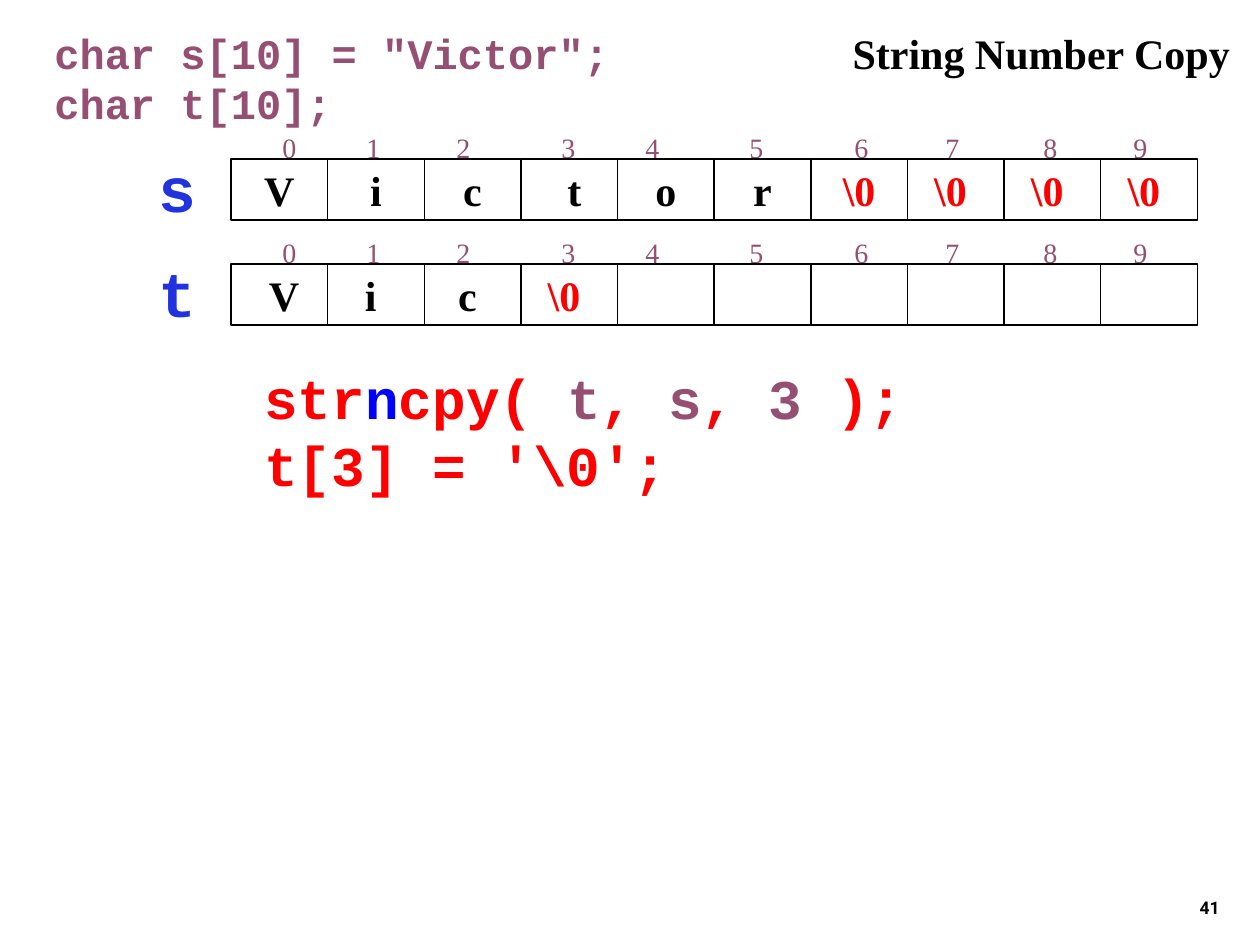
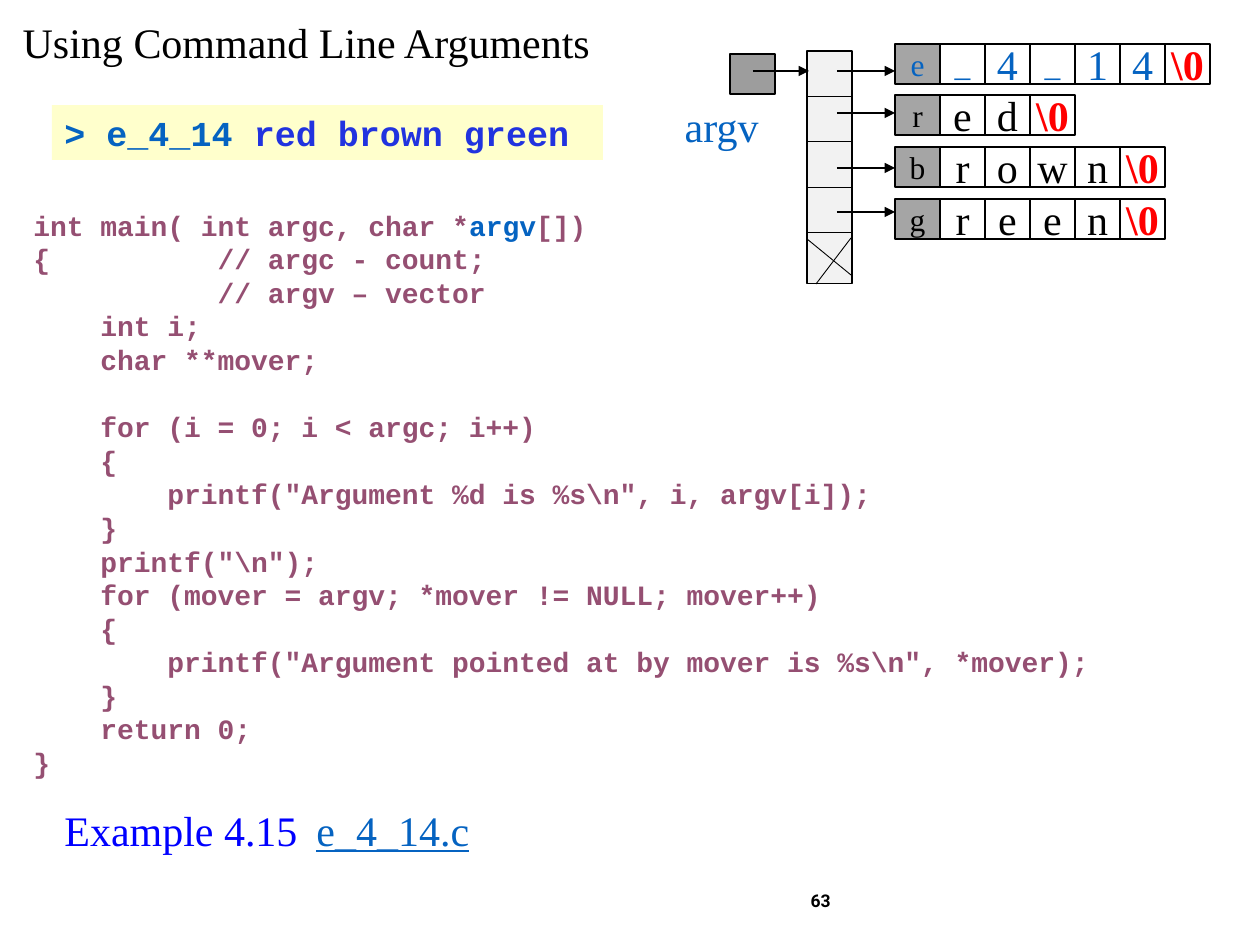
from lxml import etree
from pptx import Presentation
from pptx import util as u
from pptx.dml.color import RGBColor
from pptx.enum import shapes, text
from pptx.oxml.ns import qn

SCALE = 914400 / 126  # EMU in one px
LEFT, CENTER, RIGHT = text.PP_ALIGN.LEFT, text.PP_ALIGN.CENTER, text.PP_ALIGN.RIGHT
TOP, MIDDLE, BOTTOM = (text.MSO_ANCHOR.TOP, text.MSO_ANCHOR.MIDDLE,
                       text.MSO_ANCHOR.BOTTOM)
NUL = "\\0"


class Theme:
    black, red, plum = "000000", "FF0000", "954F72"
    royal, blue, link = "2133DF", "0000FF", "0563C1"
    band, pale, grey, dark = "FFFFCC", "F2F2F2", "A5A5A5", "9D9D9D"
    serif, mono, sans = "Times New Roman", "Courier New", "Roboto"
    title = dict(name=serif, size=24, color=black)
    letter = dict(name=serif, size=24, color=black)
    index = dict(name=serif, size=16, color=plum)
    number = dict(name=sans, size=10, color=black, bold=True)
    code = dict(name=mono, size=16, color=plum, bold=True)
    thin, hair = 0.75, 0.5


def px(*lengths):
    return [u.Emu(round(length * SCALE)) for length in lengths]


# ---- shared text and drawing helpers ----
def format_font(font, values):
    for key, value in values.items():
        if key == "color":
            font.color.rgb = RGBColor.from_string(value)
        else:
            setattr(font, key, u.Pt(value) if key == "size" else value)


def write(box, lines, style, align=LEFT, anchor=TOP, wrap=True, tabs=()):
    """Each line is a string or a list of (string, style changes) spans."""
    frame = box.text_frame
    settings = dict(auto_size=text.MSO_AUTO_SIZE.NONE, word_wrap=wrap,
                    vertical_anchor=anchor)
    for key, value in settings.items():
        setattr(frame, key, value)
    for number, line in enumerate(lines):
        para = frame.add_paragraph() if number else frame.paragraphs[0]
        para.alignment = align
        if tabs:
            stops = etree.SubElement(para._p.get_or_add_pPr(), qn("a:tabLst"))
            for stop in tabs:
                etree.SubElement(stops, qn("a:tab"), pos=str(px(stop)[0]), algn="l")
        format_font(para.font, style)
        for words, changes in [(line, {})] if isinstance(line, str) else line:
            if words:
                span = para.add_run()
                span.text = words
                format_font(span.font, {**style, **changes})


def add_text(parent, box, lines, style, **options):
    write(parent.shapes.add_textbox(*px(*box)), lines, style, **options)


def add_box(parent, box, fill=None, line=Theme.black):
    shape = parent.shapes.add_shape(shapes.MSO_SHAPE.RECTANGLE, *px(*box))
    shape.shadow.inherit = False
    if fill:
        shape.fill.solid()
        shape.fill.fore_color.rgb = RGBColor.from_string(fill)
    else:
        shape.fill.background()
    if line:
        shape.line.color.rgb = RGBColor.from_string(line)
        shape.line.width = u.Pt(Theme.thin)
    else:
        shape.line.fill.background()
    return shape


def add_line(parent, start, end, width=Theme.thin, arrow=False):
    line = parent.shapes.add_connector(shapes.MSO_CONNECTOR.STRAIGHT,
                                       *px(*start, *end))
    line.line.color.rgb = RGBColor.from_string(Theme.black)
    line.line.width = u.Pt(width)
    properties = line._element.spPr
    if arrow:
        etree.SubElement(properties.find(qn("a:ln")), qn("a:tailEnd"), type="triangle")
    etree.SubElement(properties, qn("a:effectLst"))


def new_page(deck, title, box, number, number_box, bold=False, anchor=MIDDLE):
    page = deck.slides.add_slide(deck.slide_layouts[5])
    heading = page.shapes.title
    for key, value in zip(("left", "top", "width", "height"), px(*box)):
        setattr(heading, key, value)
    write(heading, [title], {**Theme.title, "bold": bold}, wrap=False)
    add_text(page, number_box, [number], Theme.number, align=RIGHT, anchor=anchor)
    return page


def letter_style(letter, color=Theme.black, size=24, bold=False):
    ending = letter.strip() == NUL
    return {**Theme.letter, "size": size, "bold": bold or ending,
            "color": Theme.red if ending else color}


# ---- string number copy ----
def array_row(page, left, top, name, letters):
    """Ten numbered cells with the array name on their left."""
    width, height, count = 96.65, 61, 10
    add_text(page, (left - 85, top - 16, 63, 88), [name],
             dict(name=Theme.mono, size=36, color=Theme.royal, bold=True),
             align=RIGHT, wrap=False)
    group = page.shapes.add_group_shape()
    add_text(group, (left, top - 43, width * count, 62),
             ["".join(f"\t{index}" for index in range(count))], Theme.index,
             anchor=MIDDLE, tabs=(39, 123, 213, 318, 402, 506, 611, 702, 800, 890))
    for index in range(count):
        cell = add_box(group, (left + index * width, top, width, height))
        if index < len(letters):
            letter = letters[index]
            write(cell, [letter], letter_style(letter, bold=True),
                  align=CENTER, anchor=MIDDLE, wrap=False)


def copy_page(deck):
    page = new_page(deck, "String Number Copy", (840, 21, 403, 63),
                    "41", (970, 861, 262, 63), bold=True, anchor=BOTTOM)
    add_text(page, (42, 21, 935, 164), ['char s[10] = "Victor";', "char t[10];"],
             {**Theme.code, "size": 24})
    array_row(page, 231, 159, "s",
              ["V", "i", "c", " t", "o", "r", NUL] + [NUL + " "] * 3)
    array_row(page, 231, 264, "t", [" V", "i ", "c ", NUL + " "])
    plum = dict(color=Theme.plum)
    call = [("str", {}), ("n", dict(color=Theme.blue)), ("cpy( ", {}), ("t", plum),
            (",", {}), (" s", plum), (",", {}), (" 3 ", plum), (");", {})]
    add_text(page, (252, 357, 703, 147), [call, "t[3] = '\\0';"],
             {**Theme.code, "size": 32, "color": Theme.red})


# ---- command line arguments ----
MAIN_CODE = r"""{          // argc - count;
           // argv – vector
    int i;
    char **mover;

    for (i = 0; i < argc; i++)
    {
        printf("Argument %d is %s\n", i, argv[i]);
    }
    printf("\n");
    for (mover = argv; *mover != NULL; mover++)
    {
        printf("Argument pointed at by mover is %s\n", *mover);
    }
    return 0;
}"""


def argument_row(group, left, top, letters, color=Theme.black):
    side = 45
    for index, letter in enumerate(letters):
        cell = add_box(group, (left + index * side, top, side, 40),
                       None if index else Theme.grey)
        size = 18 if index == 0 or letter == "_" else 24
        write(cell, [letter], letter_style(letter, color, size),
              align=CENTER, anchor=MIDDLE, wrap=False)


def argument_diagram(page, left, top):
    """The argv pointer, its vector and the strings it points to."""
    group = page.shapes.add_group_shape()
    vector, strings = left + 77, left + 165
    for index in range(5):
        add_box(group, (vector, top + 7 + index * 45.4, 45, 51), Theme.pale)
    rows = [("e_4_14", 0, 27, Theme.link), ("red", 51, 69, Theme.black),
            ("brown", 103, 124, Theme.black), ("green", 155, 168, Theme.black)]
    for word, row_top, arrow_top, color in rows:
        argument_row(group, strings, top + row_top, [*word, NUL], color)
        add_line(group, (vector + 30, top + arrow_top),
                 (strings, top + arrow_top), arrow=True)
    add_box(group, (left, top + 10, 45, 40), Theme.dark)
    add_line(group, (left + 23, top + 27), (left + 79, top + 27), arrow=True)
    add_text(group, (left - 59, top + 50, 100, 63), ["argv"],
             {**Theme.letter, "color": Theme.link}, align=RIGHT, wrap=False)
    # The crossed cell ends the vector
    for start, end in (((44, 194), (9, 240)), ((0, 195), (44, 231))):
        add_line(group, (vector + start[0], top + start[1]),
                 (vector + end[0], top + end[1]), Theme.hair)


def argument_page(deck):
    page = new_page(deck, "Using Command Line Arguments", (10, 10, 596, 63),
                    "63", (417, 876, 426, 50))
    link = dict(color=Theme.link)
    signature = [("int main( int argc, char *", {}), ("argv", link), ("[])", {})]
    add_text(page, (21, 202, 1207, 586), [signature, *MAIN_CODE.split("\n")],
             Theme.code)
    add_text(page, (52, 798, 788, 63),
             [[("Example 4.15\t", {}), ("e_4_14.c", {**link, "underline": True})]],
             {**Theme.letter, "color": Theme.blue}, tabs=[252])
    banner = add_box(page, (52, 105, 551, 55), Theme.band, None)
    write(banner, [[("> e_4_14", link), (" red brown green", {})]],
          {**Theme.code, "size": 20, "color": Theme.royal})
    argument_diagram(page, 730, 44)


def main():
    deck = Presentation()
    deck.slide_width, deck.slide_height = px(1260, 945)
    copy_page(deck)
    argument_page(deck)
    deck.save("out.pptx")


if __name__ == "__main__":
    main()
